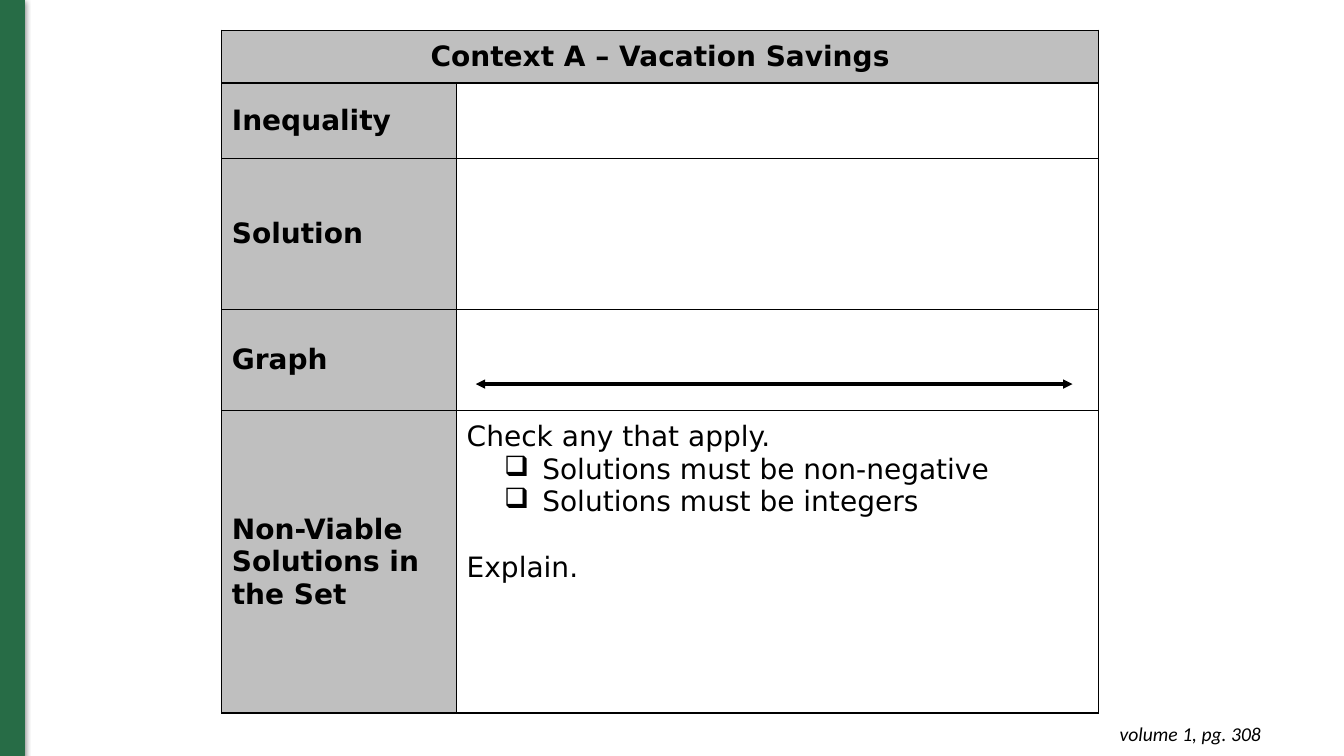
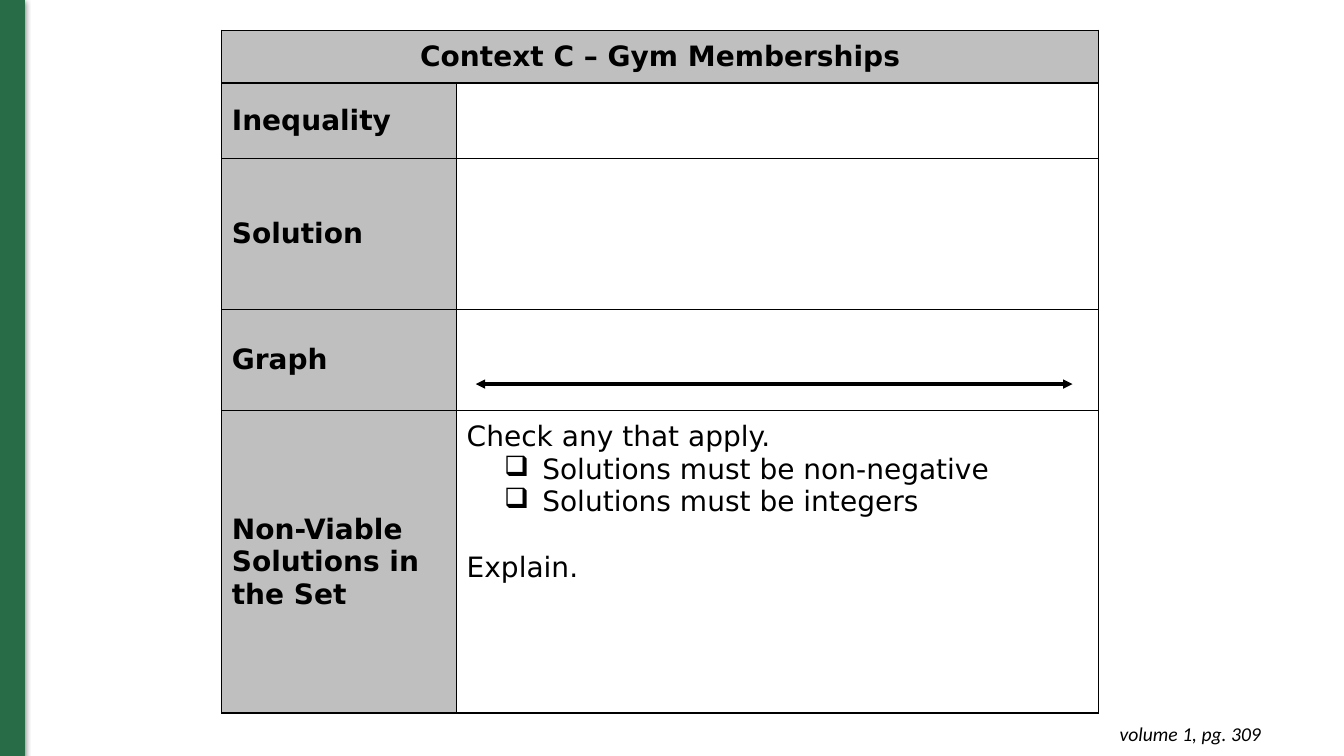
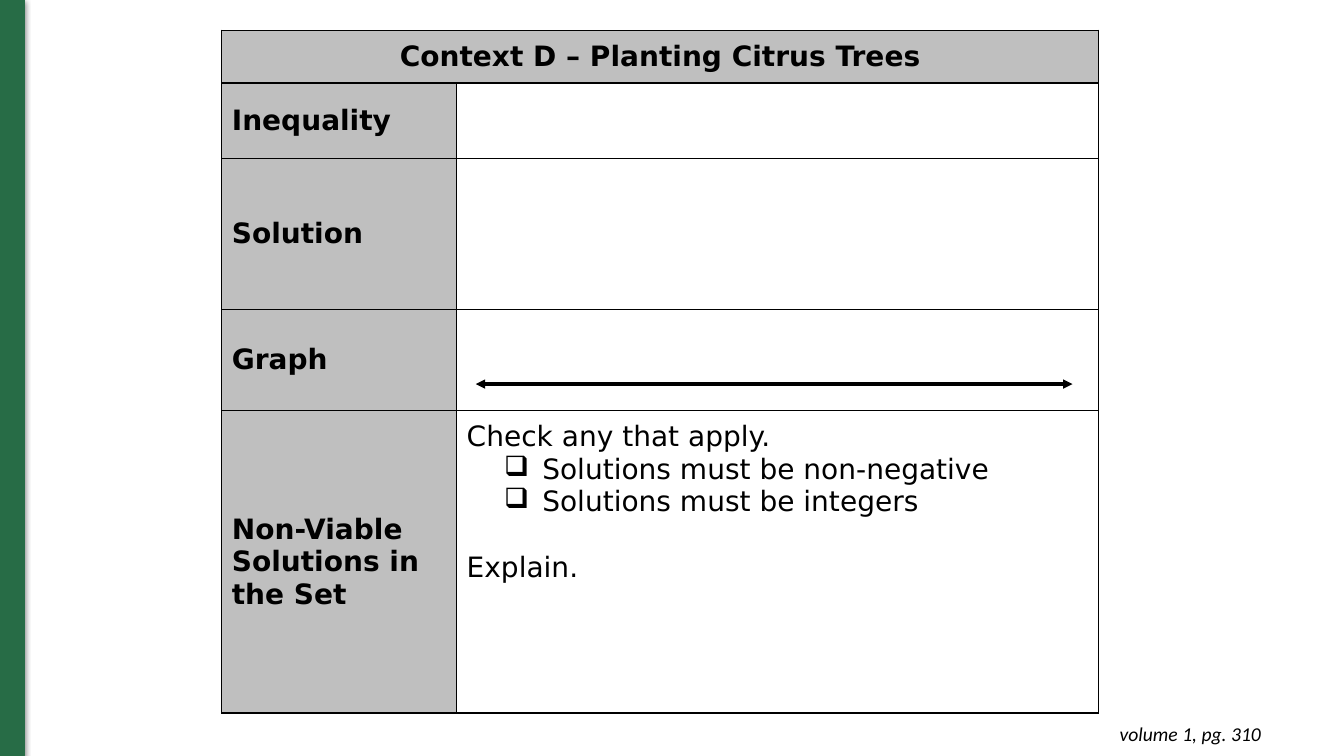
"""Build three worksheet slides about inequalities in context."""
from dataclasses import dataclass

from lxml.etree import SubElement
from pptx import Presentation
from pptx.dml.color import RGBColor as RGB
from pptx.enum.shapes import MSO_CONNECTOR as CONN, MSO_SHAPE as SHAPE
from pptx.enum.text import MSO_ANCHOR as ANCHOR, MSO_AUTO_SIZE as AUTO, PP_ALIGN as ALIGN
from pptx.oxml import parse_xml
from pptx.oxml.ns import nsdecls, qn
from pptx.util import Inches, Pt

COLORS = {"ink": "000000", "label": "BFBFBF", "paper": "FFFFFF", "bar": "276C46"}
GRID_W, GRID_H = 133.33, 75
COL_WIDTHS = (23.3, 63.7)
ROW_HEIGHTS = (5, 7.5, 15, 10, 30)
ROW_LABELS = ("Inequality", "Solution", "Graph", "Non-Viable Solutions in \vthe Set")

BODY = {"name": "DejaVu Sans", "size": Pt(20), "bold": False}
HEAD = {**BODY, "bold": True}
FOOTER = {"name": "Calibri", "size": Pt(14), "italic": True}


@dataclass
class Worksheet:
    title: str
    page: int


@dataclass
class Line:
    text: str
    bullet: bool = False
    before: float = 0


WORKSHEETS = (
    Worksheet("Context A – Vacation Savings", 308),
    Worksheet("Context C – Gym Memberships", 309),
    Worksheet("Context D – Planting Citrus Trees", 310),
)
CHECKLIST = (
    Line("Check any that apply."),
    Line("Solutions must be non-negative", bullet=True),
    Line("Solutions must be integers", bullet=True),
    Line("Explain.", before=23.3),
)


def grid(*units: float) -> list[int]:
    """Turn grid units of a tenth of an inch into lengths."""
    return [Inches(u / 10) for u in units]


def color(name: str) -> RGB:
    """Look up a named colour."""
    return RGB.from_string(COLORS[name])


def add_bullet(p) -> None:
    """Give a paragraph a hanging check box."""
    pPr = p._p.get_or_add_pPr()
    pPr.set("marL", str(Inches(0.75)))
    pPr.set("indent", str(Inches(-0.38)))
    clr = SubElement(pPr, qn("a:buClr"))
    SubElement(clr, qn("a:srgbClr"), val=COLORS["ink"])
    SubElement(pPr, qn("a:buChar"), char="❑")


def write(tf, lines: tuple[Line, ...], fmt: dict, align=ALIGN.LEFT) -> None:
    """Write formatted lines into a text frame."""
    for i, line in enumerate(lines):
        p = tf.add_paragraph() if i else tf.paragraphs[0]
        p.text = line.text
        p.alignment = align
        if line.before:
            p.space_before = Pt(line.before)
        if line.bullet:
            add_bullet(p)
        for r in p.runs:
            r.font.color.rgb = color("ink")
            for key, value in fmt.items():
                setattr(r.font, key, value)


def set_margins(box) -> None:
    """Set equal insets on a cell or text frame."""
    for side in ("left", "right", "top", "bottom"):
        setattr(box, f"margin_{side}", Inches(0.1))


def style_cell(cell, fill: str) -> None:
    """Fill a cell and draw its four borders."""
    set_margins(cell)
    cell.fill.solid()
    cell.fill.fore_color.rgb = color(fill)
    tcPr = cell._tc.get_or_add_tcPr()
    for i, side in enumerate("LRTB"):
        tcPr.insert(i, parse_xml(
            f'<a:ln{side} {nsdecls("a")} w="{Pt(1)}"><a:solidFill>'
            f'<a:srgbClr val="{COLORS["ink"]}"/></a:solidFill></a:ln{side}>'))


def add_worksheet_table(slide, title: str) -> None:
    """Add the table with its header, row labels and checklist."""
    frame = slide.shapes.add_table(
        len(ROW_HEIGHTS), len(COL_WIDTHS),
        *grid(22, 3, sum(COL_WIDTHS), sum(ROW_HEIGHTS)))
    table = frame.table
    table.first_row = table.horz_banding = False
    for tracks, attr, sizes in ((table.columns, "width", COL_WIDTHS),
                                (table.rows, "height", ROW_HEIGHTS)):
        for track, size in zip(tracks, grid(*sizes)):
            setattr(track, attr, size)
    for r in range(len(ROW_HEIGHTS)):
        for c in range(len(COL_WIDTHS)):
            style_cell(table.cell(r, c), "paper" if r and c else "label")
    header = table.cell(0, 0)
    header.merge(table.cell(0, 1))
    write(header.text_frame, (Line(title),), HEAD, ALIGN.CENTER)
    for r, label in enumerate(ROW_LABELS, 1):
        cell = table.cell(r, 0)
        cell.vertical_anchor = ANCHOR.MIDDLE
        write(cell.text_frame, (Line(label),), HEAD)
    write(table.cell(len(ROW_LABELS), 1).text_frame, CHECKLIST, BODY)


def add_side_bar(slide) -> None:
    """Add the shadowed bar at the left edge."""
    sp = slide.shapes.add_shape(SHAPE.RECTANGLE, *grid(0, 0, 2.4, GRID_H))
    sp.fill.solid()
    sp.fill.fore_color.rgb = sp.line.color.rgb = color("bar")
    sp.line.width = Pt(0.75)
    sp.shadow.inherit = False
    effects = sp._element.spPr.find(qn("a:effectLst"))
    shadow = SubElement(effects, qn("a:outerShdw"), blurRad=str(Pt(4.5)),
                        dist=str(Pt(1.5)), dir="5400000", rotWithShape="0")
    clr = SubElement(shadow, qn("a:srgbClr"), val=COLORS["ink"])
    SubElement(clr, qn("a:alpha"), val="50000")


def add_number_line(slide) -> None:
    """Add the double-headed number line in the graph row."""
    line = slide.shapes.add_connector(CONN.STRAIGHT, *grid(47.2, 38.1, 106.4, 38.1))
    line.line.color.rgb = color("ink")
    line.line.width = Pt(2.25)
    ln = line.line._get_or_add_ln()
    for end in ("a:headEnd", "a:tailEnd"):
        SubElement(ln, qn(end), type="triangle")
    SubElement(line._element.spPr, qn("a:effectLst"))


def add_page_reference(slide, page: int) -> None:
    """Add the page reference at the bottom right."""
    tf = slide.shapes.add_textbox(*grid(97.3, 70.6, 28.8, 4.4)).text_frame
    tf.word_wrap = True
    tf.auto_size = AUTO.SHAPE_TO_FIT_TEXT
    set_margins(tf)
    write(tf, (Line(f"volume 1, pg. {page}"),), FOOTER, ALIGN.RIGHT)


def main() -> None:
    """Build and save the presentation."""
    prs = Presentation()
    prs.slide_width, prs.slide_height = grid(GRID_W, GRID_H)
    for sheet in WORKSHEETS:
        slide = prs.slides.add_slide(prs.slide_layouts[6])
        add_worksheet_table(slide, sheet.title)
        add_side_bar(slide)
        add_number_line(slide)
        add_page_reference(slide, sheet.page)
    prs.save("out.pptx")


if __name__ == "__main__":
    main()
